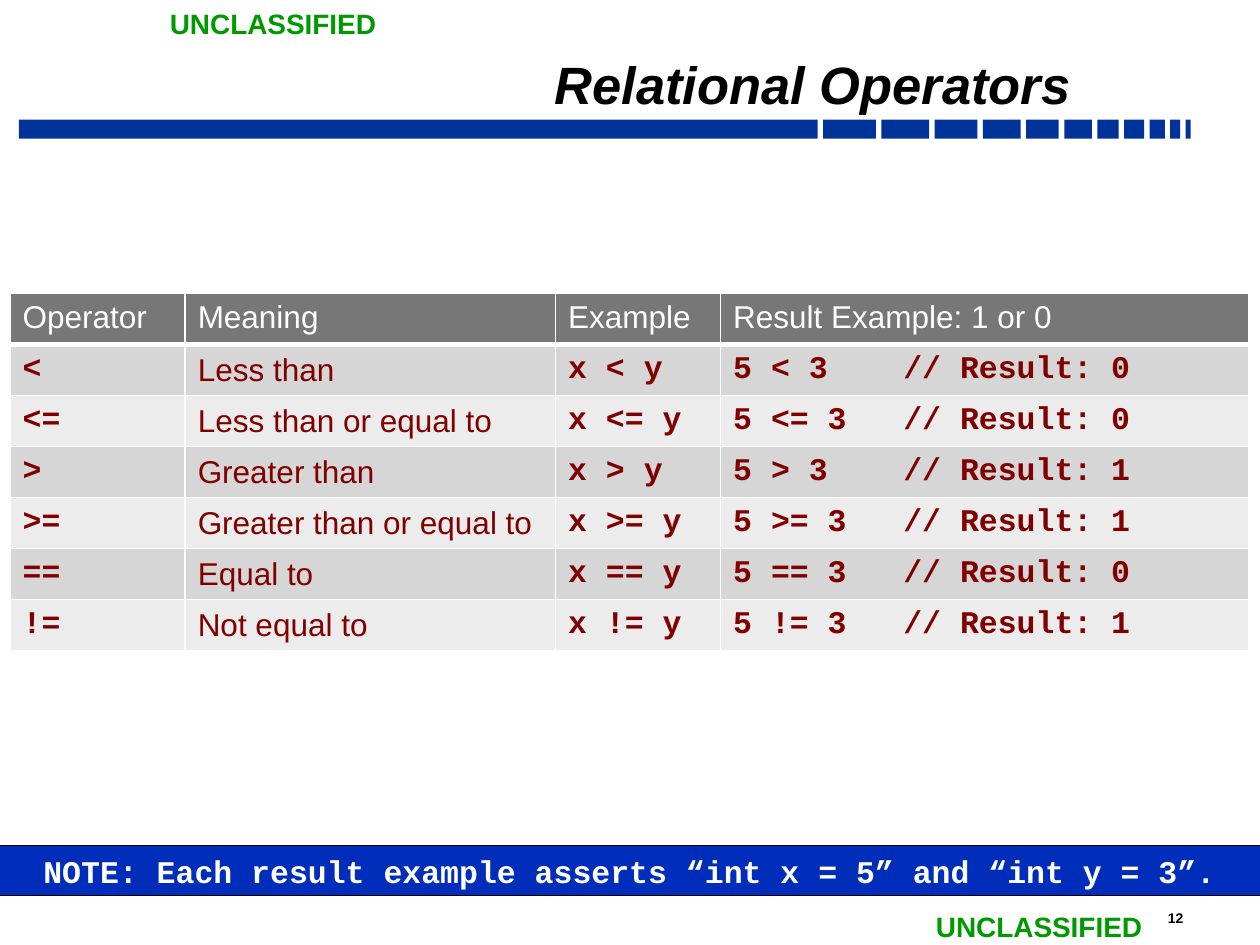
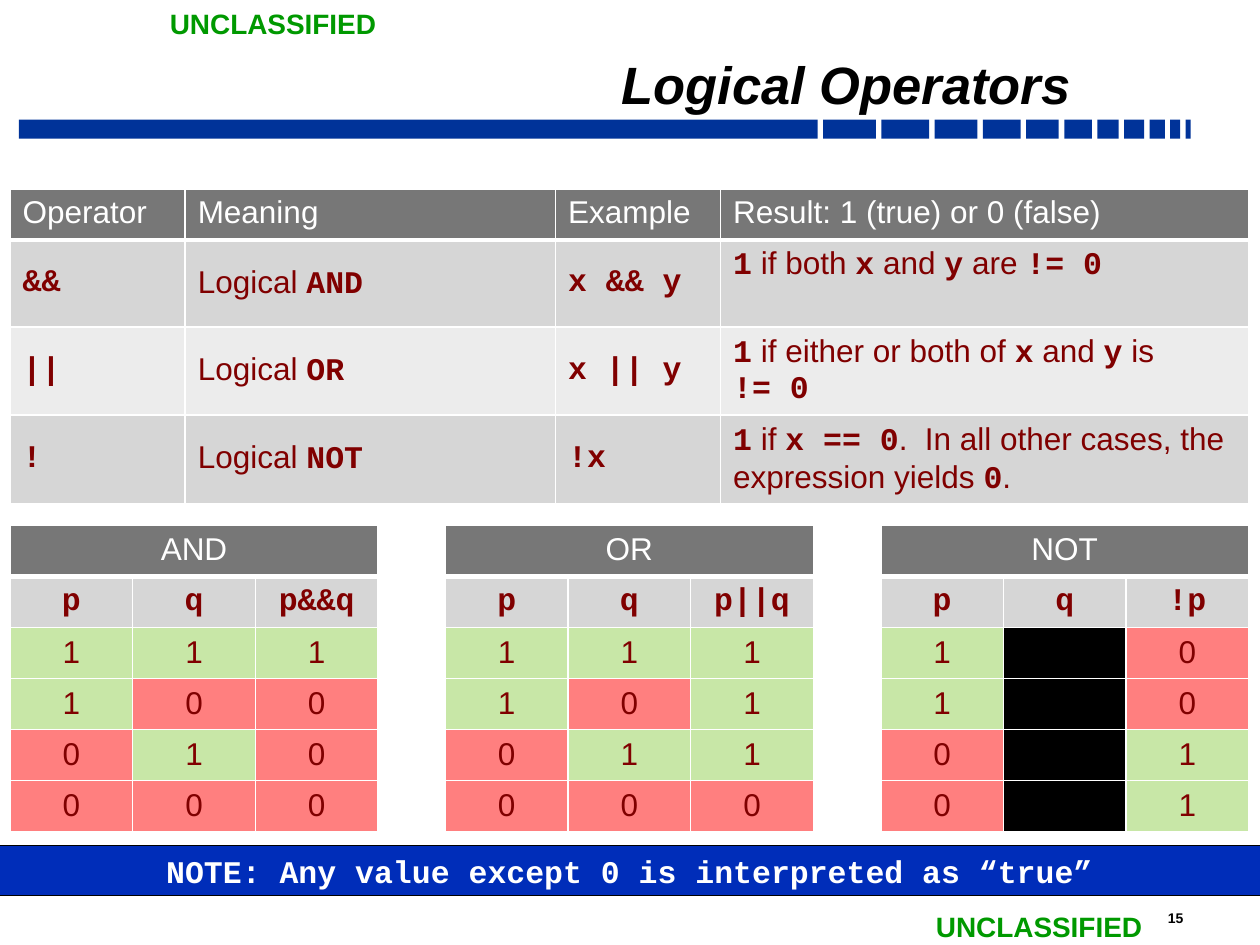
"""Build two slides on relational and logical operators, with truth tables."""

import itertools

import lxml.etree
import pptx
import pptx.dml.color
import pptx.enum.shapes
import pptx.enum.text
import pptx.oxml.ns
import pptx.util

Inches = pptx.util.Inches
Pt = pptx.util.Pt
RGBColor = pptx.dml.color.RGBColor
ALIGN = pptx.enum.text.PP_ALIGN
ANCHOR = pptx.enum.text.MSO_ANCHOR
qn = pptx.oxml.ns.qn

BLACK = RGBColor(0x00, 0x00, 0x00)
WHITE = RGBColor(0xFF, 0xFF, 0xFF)
MARKING_GREEN = RGBColor(0x00, 0x99, 0x00)
BAND_BLUE = RGBColor(0x00, 0x33, 0x99)
NOTE_BLUE = RGBColor(0x00, 0x2D, 0xB9)
MAROON = RGBColor(0x80, 0x00, 0x00)
HEADER_GREY = RGBColor(0x77, 0x77, 0x77)
ROW_GREYS = (RGBColor(0xD6, 0xD6, 0xD6), RGBColor(0xEC, 0xEC, 0xEC))
TRUTH_COLOURS = {"1": RGBColor(0x92, 0xD0, 0x50), "0": RGBColor(0xFF, 0x00, 0x00)}

BODY_FONT = "Arial"
CODE_FONT = "Courier New"

MARGIN = 0.08
CONTENT_WIDTH = 9.83
ROW_HEIGHT = 0.405
OPERATOR_COLUMNS = (1.39, 2.94, 1.31, 4.19)
COMMENT_TAB = 1.35

BAND_LEFT, BAND_RIGHT = 0.15, 9.45
BAND_WIDTHS = (6.34, 0.42, 0.38, 0.34, 0.3, 0.26, 0.22, 0.17, 0.16, 0.12, 0.08, 0.04)

TRUTH_TOP = 4.17
TRUTH_WIDTH = 2.92

RELATIONS = (
    ("<", "Less than", 0),
    ("<=", "Less than or equal to", 0),
    (">", "Greater than", 1),
    (">=", "Greater than or equal to", 1),
    ("==", "Equal to", 0),
    ("!=", "Not equal to", 1),
)

LOGIC_ROWS = (
    ("`&&`", "Logical `AND`", "`x && y`", "`1` if both `x` and `y` are `!= 0`"),
    ("`||`", "Logical `OR`", "`x || y`",
     "`1` if either or both of `x` and `y` is\n`!= 0`"),
    ("`!`", "Logical `NOT`", "`!x`",
     "`1` if `x == 0`.  In all other cases, the expression yields `0`."),
)


def write_text(frame, text, size=18, colour=BLACK, bold=False, italic=False,
               align=ALIGN.LEFT, line_spacing=None, tab=None):
    """Write one paragraph per line; parts between backticks are bold code."""
    for index, line in enumerate(text.split("\n")):
        paragraph = frame.add_paragraph() if index else frame.paragraphs[0]
        paragraph.alignment = align
        if line_spacing:
            paragraph.line_spacing = line_spacing
        if tab:
            stops = lxml.etree.SubElement(paragraph._p.get_or_add_pPr(), qn("a:tabLst"))
            lxml.etree.SubElement(stops, qn("a:tab"), pos=str(Inches(tab)), algn="l")
        for part, words in enumerate(line.split("`")):
            if not words:
                continue
            is_code = part % 2 == 1
            run = paragraph.add_run()
            run.text = words
            run.font.name = CODE_FONT if is_code else BODY_FONT
            run.font.size = Pt(size)
            run.font.bold = bold or is_code
            run.font.italic = italic
            run.font.color.rgb = colour


def add_label(slide, text, left, top, width, height, wrap=True,
              anchor=ANCHOR.TOP, insets=(0.1, 0.05), **text_format):
    """Add a text box."""
    frame = slide.shapes.add_textbox(
        Inches(left), Inches(top), Inches(width), Inches(height)).text_frame
    frame.word_wrap = wrap
    frame.vertical_anchor = anchor
    frame.margin_left = frame.margin_right = Inches(insets[0])
    frame.margin_top = frame.margin_bottom = Inches(insets[1])
    write_text(frame, text, **text_format)


def add_bar(slide, left, top, width, height, fill, line=None):
    """Add a filled rectangle and return it."""
    bar = slide.shapes.add_shape(
        pptx.enum.shapes.MSO_SHAPE.RECTANGLE,
        Inches(left), Inches(top), Inches(width), Inches(height))
    bar.shadow.inherit = False
    bar.fill.solid()
    bar.fill.fore_color.rgb = fill
    if line is None:
        bar.line.fill.background()
    else:
        bar.line.color.rgb = line
        bar.line.width = Pt(0.75)
    return bar


def add_band(slide):
    """Add the band under the title, broken into ever shorter pieces."""
    gap = (BAND_RIGHT - BAND_LEFT - sum(BAND_WIDTHS)) / (len(BAND_WIDTHS) - 1)
    left = BAND_LEFT
    for width in BAND_WIDTHS:
        add_bar(slide, left, 0.95, width, 0.15, BAND_BLUE)
        left += width + gap


def add_note(slide, text):
    """Add the full-width note near the foot of the slide."""
    note = add_bar(slide, -0.17, 6.71, 10.33, 0.4, NOTE_BLUE, line=BLACK)
    note.text_frame.word_wrap = True
    note.text_frame.vertical_anchor = ANCHOR.TOP
    write_text(note.text_frame, f"`{text}`", colour=WHITE, align=ALIGN.CENTER)


def add_slide(deck, title, number, note):
    """Add a slide with the shared band, markings, title, number and note."""
    slide = deck.slides.add_slide(deck.slide_layouts[6])
    add_band(slide)
    add_label(slide, number, 9.17, 7.17, 0.54, 0.23, size=8, bold=True)
    for left, top in ((1.25, 0), (7.33, 7.17)):
        add_label(slide, "UNCLASSIFIED", left, top, 1.86, 0.37, wrap=False,
                  size=16, bold=True, colour=MARKING_GREEN)
    add_label(slide, title, 1.67, 0.35, 6.92, 0.59, anchor=ANCHOR.BOTTOM,
              insets=(0.09, 0.04), size=30, bold=True, italic=True,
              align=ALIGN.RIGHT, line_spacing=0.7)
    add_note(slide, note)
    return slide


def style_cell(cell, fill, is_header=False, alpha=None):
    """Give a cell white borders and a fill, see-through if alpha is given."""
    properties = cell._tc.get_or_add_tcPr()
    for side in ("lnL", "lnR", "lnT", "lnB"):
        points = 3 if is_header and side == "lnB" else 1
        border = lxml.etree.SubElement(properties, qn(f"a:{side}"), w=str(Pt(points)))
        paint = lxml.etree.SubElement(border, qn("a:solidFill"))
        lxml.etree.SubElement(paint, qn("a:srgbClr"), val=str(WHITE))
    cell.fill.solid()
    cell.fill.fore_color.rgb = fill
    if alpha is not None:
        colour = properties.find(f"{qn('a:solidFill')}/{qn('a:srgbClr')}")
        lxml.etree.SubElement(colour, qn("a:alpha"), val=str(alpha * 1000))
    cell.vertical_anchor = ANCHOR.TOP if is_header else ANCHOR.MIDDLE


def add_grid(slide, left, top, widths, heights):
    """Add an empty table with the given column widths and row heights."""
    grid = slide.shapes.add_table(
        len(heights), len(widths), Inches(left), Inches(top),
        Inches(sum(widths)), Inches(sum(heights))).table
    for column, width in zip(grid.columns, widths):
        column.width = Inches(width)
    for row, height in zip(grid.rows, heights):
        row.height = Inches(height)
    return grid


def add_operator_table(slide, top, result_heading, rows, row_height):
    """Add a table of operators with grey rows in turn; return it."""
    heights = [ROW_HEIGHT] + [row_height] * len(rows)
    operators = add_grid(slide, MARGIN, top, OPERATOR_COLUMNS, heights)
    headings = ("Operator", "Meaning", "Example", result_heading)
    for row, texts in enumerate((headings, *rows)):
        is_header = row == 0
        for column, text in enumerate(texts):
            cell = operators.cell(row, column)
            style_cell(cell, HEADER_GREY if is_header else ROW_GREYS[(row - 1) % 2],
                       is_header)
            write_text(cell.text_frame, text, colour=WHITE if is_header else MAROON,
                       tab=COMMENT_TAB if "\t" in text else None)
    return operators


def add_truth_table(slide, left, name, expression, rule, uses_q=True):
    """Add the truth table of a rule on p and q, with q blacked out if unused."""
    rows = [(name, "", ""), ("`p`", "`q`", f"`{expression}`")]
    for p, q in itertools.product((1, 0), repeat=2):
        rows.append((str(p), str(q) if uses_q else "", str(int(rule(p, q)))))
    truth = add_grid(slide, left, TRUTH_TOP, [TRUTH_WIDTH / 3] * 3,
                     [ROW_HEIGHT] * len(rows))
    for row, texts in enumerate(rows):
        for column, text in enumerate(texts):
            cell = truth.cell(row, column)
            if row == 0:
                style_cell(cell, HEADER_GREY, is_header=True)
            elif row == 1:
                style_cell(cell, ROW_GREYS[0])
            elif text:
                style_cell(cell, TRUTH_COLOURS[text], alpha=50)
            else:
                style_cell(cell, BLACK)
            write_text(cell.text_frame, text, colour=MAROON if row else WHITE,
                       align=ALIGN.CENTER)
    truth.cell(0, 0).merge(truth.cell(0, 2))


def build_relational_slide(deck):
    """Build the slide on relational operators."""
    slide = add_slide(deck, "Relational Operators", "12",
                      "NOTE: Each result example asserts “int x = 5” and “int y = 3”.")
    rows = [(f"`{sign}`", meaning, f"`x {sign} y`", f"`5 {sign} 3\t// Result: {result}`")
            for sign, meaning, result in RELATIONS]
    add_operator_table(slide, 2.33, "Result Example: 1 or 0", rows, ROW_HEIGHT)


def build_logical_slide(deck):
    """Build the slide on logical operators."""
    slide = add_slide(deck, "Logical Operators", "15",
                      "NOTE: Any value except 0 is interpreted as “true”")
    operators = add_operator_table(
        slide, 1.5, "Result: 1 (true) or 0 (false)", LOGIC_ROWS, 0.69)
    operators.cell(1, 3).vertical_anchor = ANCHOR.TOP
    step = (CONTENT_WIDTH - TRUTH_WIDTH) / 2
    add_truth_table(slide, MARGIN, "AND", "p&&q", lambda p, q: p and q)
    add_truth_table(slide, MARGIN + step, "OR", "p||q", lambda p, q: p or q)
    add_truth_table(slide, MARGIN + 2 * step, "NOT", "!p", lambda p, q: not p,
                    uses_q=False)


def main():
    """Build and save the deck."""
    deck = pptx.Presentation()
    deck.slide_width = Inches(10)
    deck.slide_height = Inches(7.5)
    build_relational_slide(deck)
    build_logical_slide(deck)
    deck.save("out.pptx")


main()
